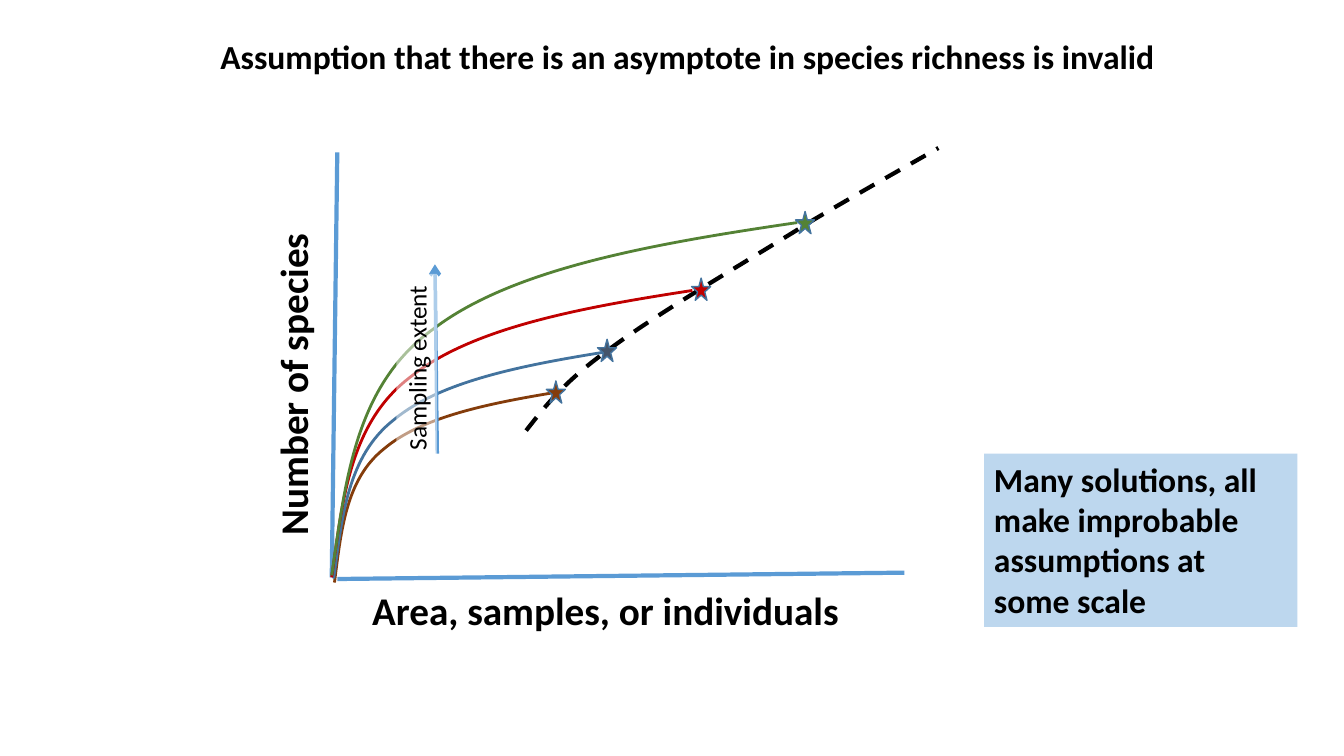
from lxml.etree import SubElement
from pptx import Presentation
from pptx.dml.color import RGBColor
from pptx.enum.dml import MSO_LINE
from pptx.enum.shapes import MSO_CONNECTOR, MSO_SHAPE
from pptx.enum.text import MSO_ANCHOR, MSO_AUTO_SIZE, PP_ALIGN
from pptx.oxml.ns import qn
from pptx.util import Cm, Pt

AXIS_BLUE = "5B9BD5"
OUTLINE_BLUE = "43739E"

# Bezier points shared by all species curves, as fractions of their extent
CURVE_SHAPE = [(0, 0), (0.03, 0.27), (0.05, 0.54), (0.22, 0.7),
               (0.39, 0.87), (0.69, 0.94), (1, 1)]

# Curve colour, curve start, curve end
SPECIES_CURVES = [
    ("843C0B", (8.43, 14.68), (14.05, 9.88)),
    (OUTLINE_BLUE, (8.41, 14.58), (15.32, 8.86)),
    ("C00000", (8.36, 14.55), (17.45, 7.32)),
    ("548235", (8.36, 14.5), (20.09, 5.61)),
]

# Star colour, star centre
STARS = [
    ("843C0B", (14.01, 9.88)),
    ("44546A", (15.3, 8.83)),
    ("C00000", (17.67, 7.29)),
    ("548235", (20.29, 5.61)),
]

RICHNESS_TREND = [(13.26, 10.85), (13.74, 10.24), (14.22, 9.6), (15.44, 8.74),
                  (16.64, 7.85), (19.13, 6.4), (20.47, 5.56),
                  (21.84, 4.75), (22.76, 4.24), (23.65, 3.73)]


def rgb(color):
    return RGBColor.from_string(color)


def set_line(line, color, width):
    line.color.rgb = rgb(color)
    line.width = Pt(width)


def bend_segments(sp):
    """Turn each three straight segments of a freeform into one cubic curve."""
    path = next(sp._element.iter(qn("a:path")))
    segments = path.findall(qn("a:lnTo"))
    for i in range(0, len(segments), 3):
        cubic = SubElement(path, qn("a:cubicBezTo"))
        for segment in segments[i:i + 3]:
            cubic.append(segment[0])
            path.remove(segment)


def add_curve(s, points, color, width):
    """Draw cubic curves through points given as start, control, control, end, ..."""
    start, *rest = [(Cm(x), Cm(y)) for x, y in points]
    builder = s.shapes.build_freeform(*start)
    builder.add_line_segments(rest, close=False)
    sp = builder.convert_to_shape()
    bend_segments(sp)
    sp.shadow.inherit = False
    sp.fill.background()
    set_line(sp.line, color, width)
    return sp


def add_species_curve(s, color, start, end):
    (x0, y0), (x1, y1) = start, end
    points = [(x0 + fx * (x1 - x0), y0 + fy * (y1 - y0)) for fx, fy in CURVE_SHAPE]
    add_curve(s, points, color, 2)


def add_star(s, color, center):
    w, h = 0.48, 0.56
    x, y = center
    sp = s.shapes.add_shape(MSO_SHAPE.STAR_5_POINT, Cm(x - w / 2), Cm(y - h / 2), Cm(w), Cm(h))
    sp.shadow.inherit = False
    sp.fill.solid()
    sp.fill.fore_color.rgb = rgb(color)
    set_line(sp.line, OUTLINE_BLUE, 1)


def add_line(s, start, end, width, arrow=False):
    line = s.shapes.add_connector(MSO_CONNECTOR.STRAIGHT, *map(Cm, start + end))
    set_line(line.line, AXIS_BLUE, width)
    if arrow:
        SubElement(line.line._get_or_add_ln(), qn("a:tailEnd"), type="arrow")
    SubElement(line._element.spPr, qn("a:effectLst"))


def set_text(sp, text, size, bold=True, wrap=False):
    tf = sp.text_frame
    tf.text = text
    tf.word_wrap = wrap
    tf.auto_size = MSO_AUTO_SIZE.SHAPE_TO_FIT_TEXT
    tf.vertical_anchor = MSO_ANCHOR.TOP
    p = tf.paragraphs[0]
    p.alignment = PP_ALIGN.LEFT
    p.font.name = "Calibri"
    p.font.size = Pt(size)
    p.font.bold = bold
    p.font.color.rgb = rgb("000000")


def add_label(s, box, text, size, bold=True, wrap=False, rotation=0, fill=None, alpha=None):
    sp = s.shapes.add_textbox(*map(Cm, box))
    set_text(sp, text, size, bold, wrap)
    sp.rotation = rotation
    if fill:
        sp.fill.solid()
        sp.fill.fore_color.rgb = rgb(fill)
    if alpha:
        color = sp._element.spPr.find(qn("a:solidFill")).find(qn("a:srgbClr"))
        SubElement(color, qn("a:alpha"), val=str(alpha * 1000))


def place_title(s, box, text):
    title = s.shapes.title
    title.left, title.top, title.width, title.height = map(Cm, box)
    set_text(title, text, 24)


def main():
    prs = Presentation()
    prs.slide_width, prs.slide_height = Cm(33.87), Cm(19.05)
    s = prs.slides.add_slide(prs.slide_layouts[5])
    place_title(s, (5.3, 0.78, 24.31, 1.27),
                "Assumption that there is an asymptote in species richness is invalid")

    trend = add_curve(s, RICHNESS_TREND, "000000", 3)
    trend.line.dash_style = MSO_LINE.DASH
    add_line(s, (8.5, 3.84), (8.36, 14.55), 3)
    add_line(s, (8.5, 14.59), (22.79, 14.43), 3)
    for curve in SPECIES_CURVES:
        add_species_curve(s, *curve)
    for star in STARS:
        add_star(s, *star)

    add_label(s, (9.13, 14.66, 12.42, 1.45), "Area, samples, or individuals", 28)
    add_label(s, (3.28, 8.92, 8.2, 1.45), "Number of species", 28, rotation=270)
    add_line(s, (11.02, 11.43), (10.96, 6.66), 2.5, arrow=True)
    add_label(s, (8.15, 8.74, 4.7, 1.02), "Sampling extent", 18, bold=False,
              rotation=270, fill="FFFFFF", alpha=50)
    add_label(s, (24.8, 11.43, 7.9, 4.37),
              "Many solutions, all make improbable assumptions at some scale", 24,
              wrap=True, fill="BDD7EE")
    prs.save("out.pptx")


if __name__ == "__main__":
    main()
